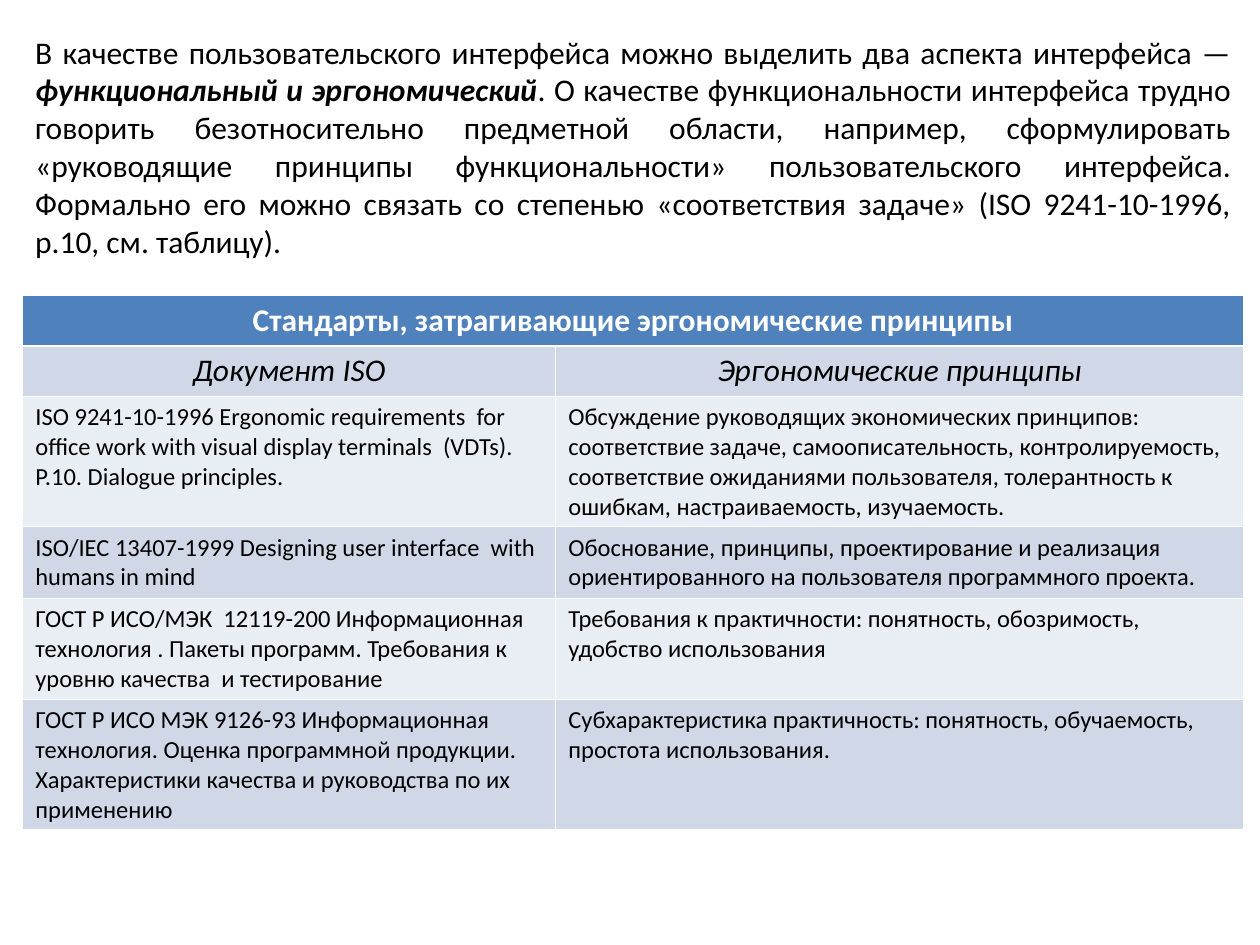
from lxml.etree import SubElement as Sub
from pptx import Presentation
from pptx.dml.color import RGBColor
from pptx.enum.text import MSO_AUTO_SIZE as Auto, PP_ALIGN as Align
from pptx.oxml.ns import qn
from pptx.util import Pt

LEFT, WIDTH = 13, 697.7
COLS = [304.6, 393.1]
ROWS = [28.8, 28.8, 74.2, 41, 57.6, 74.2]
HEAD, DARK, PALE = "4F81BD", "D0D8E8", "E9EDF4"
BLACK, WHITE = "000000", "FFFFFF"
THIN, THICK = 0.45, 1.47

INTRO = [
    ("В качестве пользовательского интерфейса можно выделить два аспекта интерфейса — ", {}),
    ("функциональный и эргономический", {"bold": True, "italic": True}),
    (". О качестве функциональности интерфейса трудно говорить безотносительно "
     "предметной области, например, сформулировать «руководящие принципы "
     "функциональности» пользовательского интерфейса. Формально его можно связать "
     "со степенью «соответствия задаче» (ISO 9241-10-1996, p.10, см. таблицу).", {}),
]
CELLS = [
    ("Стандарты, затрагивающие эргономические принципы", ""),
    ("Документ ISO", "Эргономические принципы"),
    ("ISO 9241-10-1996 Ergonomic requirements  for office work with visual "
     "display terminals  (VDTs). P.10. Dialogue principles.",
     "Обсуждение руководящих экономических принципов: соответствие задаче, "
     "самоописательность, контролируемость, соответствие ожиданиями пользователя, "
     "толерантность к ошибкам, настраиваемость, изучаемость."),
    ("ISO/IEC 13407-1999 Designing user interface  with humans in mind",
     "Обоснование, принципы, проектирование и реализация ориентированного на "
     "пользователя программного проекта."),
    ("ГОСТ Р ИСО/МЭК  12119-200 Информационная технология . Пакеты программ. "
     "Требования к уровню качества  и тестирование",
     "Требования к практичности: понятность, обозримость, удобство использования"),
    ("ГОСТ Р ИСО МЭК 9126-93 Информационная технология. Оценка программной "
     "продукции. Характеристики качества и руководства по их применению",
     "Субхарактеристика практичность: понятность, обучаемость, простота использования."),
]
# Formats of the title row and the column heads; other rows use BODY
TOP = [{"size": Pt(18), "bold": True}, {"size": Pt(18), "italic": True}]
BODY = {"size": Pt(14)}


def color(code):
    return RGBColor.from_string(code)


def write(par, text, ink=BLACK, **form):
    run = par.add_run()
    run.text = text
    base = {"name": "Calibri", "size": Pt(18), "bold": False, "italic": False}
    for key, val in {**base, **form}.items():
        setattr(run.font, key, val)
    run.font.color.rgb = color(ink)


def add_intro(slide):
    box = slide.shapes.add_textbox(Pt(LEFT), Pt(15.1), Pt(WIDTH), Pt(136.8))
    frame = box.text_frame
    frame.word_wrap = True
    frame.auto_size = Auto.SHAPE_TO_FIT_TEXT
    par = frame.paragraphs[0]
    par.alignment = Align.JUSTIFY
    for text, form in INTRO:
        write(par, text, **form)


def edge(cell, row):
    props = cell._tc.get_or_add_tcPr()
    heavy = {0: "B", 1: "T"}.get(row)
    for side in "LRTB":
        width = THICK if side == heavy else THIN
        line = Sub(props, qn(f"a:ln{side}"), w=str(Pt(width)))
        fill = Sub(line, qn("a:solidFill"))
        Sub(fill, qn("a:srgbClr"), val=WHITE)


def paint(cell, row, text):
    edge(cell, row)
    cell.fill.solid()
    cell.fill.fore_color.rgb = color(HEAD if row == 0 else DARK if row % 2 else PALE)
    par = cell.text_frame.paragraphs[0]
    is_top = row < len(TOP)
    par.alignment = Align.CENTER if is_top else Align.LEFT
    if text:
        write(par, text, BLACK if row else WHITE, **(TOP[row] if is_top else BODY))


def add_grid(slide):
    grid = slide.shapes.add_table(len(ROWS), len(COLS), Pt(LEFT), Pt(168.7),
                                  Pt(WIDTH), Pt(sum(ROWS))).table
    for col, width in zip(grid.columns, COLS):
        col.width = Pt(width)
    for row, height in zip(grid.rows, ROWS):
        row.height = Pt(height)
    grid.cell(0, 0).merge(grid.cell(0, 1))
    for r, texts in enumerate(CELLS):
        for c, text in enumerate(texts):
            paint(grid.cell(r, c), r, text)


def main():
    deck = Presentation()
    deck.slide_width, deck.slide_height = Pt(720), Pt(540)
    slide = deck.slides.add_slide(deck.slide_layouts[6])
    add_intro(slide)
    add_grid(slide)
    deck.save("out.pptx")


if __name__ == "__main__":
    main()
